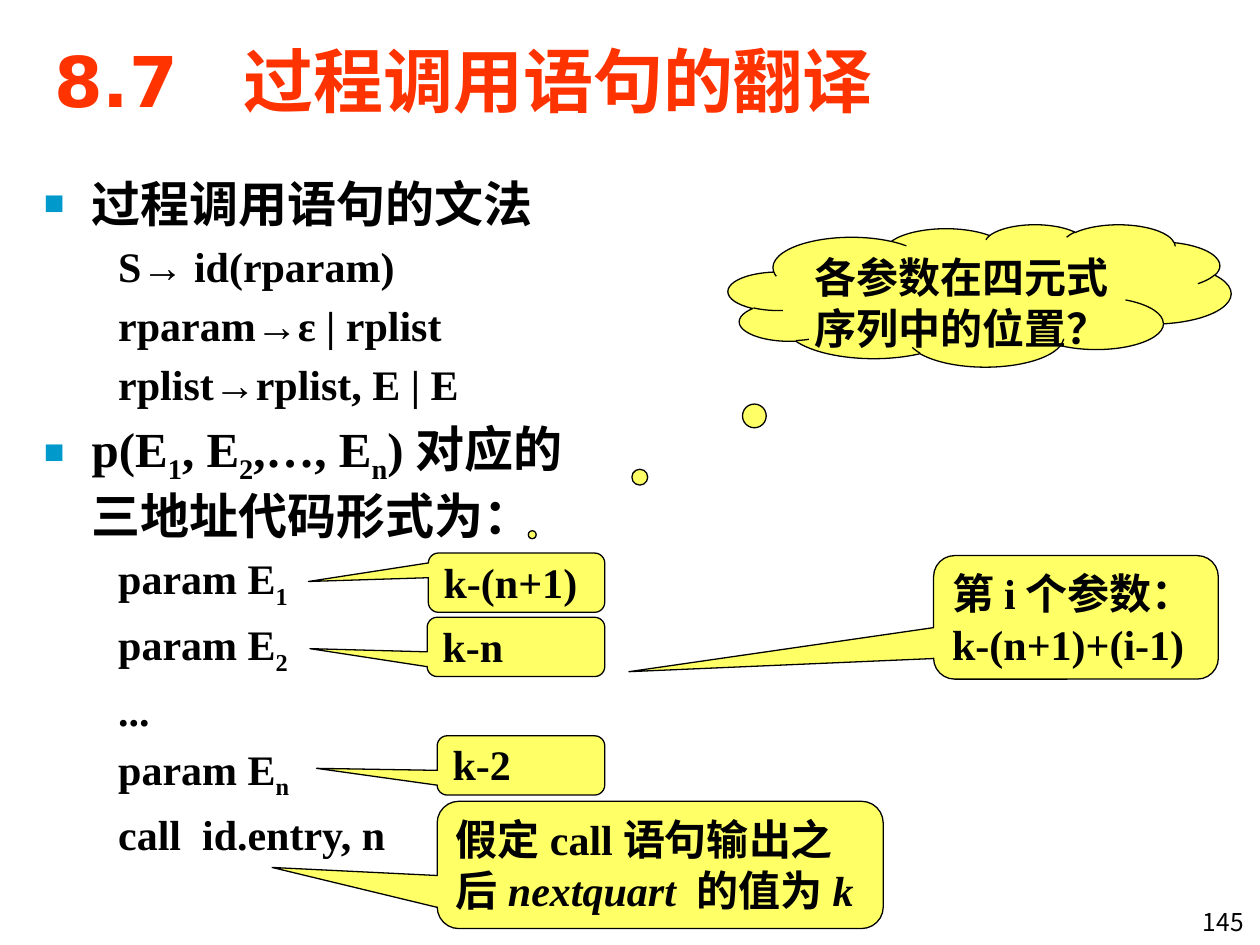
from dataclasses import dataclass
from typing import NamedTuple

import pptx
import pptx.dml.color
import pptx.enum.shapes
import pptx.enum.text
import pptx.oxml.ns
import pptx.util
from lxml import etree

ALIGN = pptx.enum.text.PP_ALIGN
ANCHOR = pptx.enum.text.MSO_ANCHOR
SHAPE = pptx.enum.shapes.MSO_SHAPE
WIDTH, HEIGHT = pptx.util.Inches(10), pptx.util.Inches(7.5)


@dataclass(frozen=True)
class Theme:
    title: str = "FF3300"
    text: str = "000000"
    bullet: str = "0099CC"
    note: str = "FFFF66"
    title_font: str = "DejaVu Sans"
    body_font: str = "Times New Roman"
    cjk_font: str = "Noto Sans CJK SC"
    title_size: int = 40
    head_size: int = 28
    body_size: int = 24
    number_size: int = 14


THEME = Theme()


class Area(NamedTuple):
    """Left, top, width and height in percent of the slide."""
    left: float
    top: float
    width: float
    height: float

    def emu(self) -> list[int]:
        return [round(share * side / 100)
                for share, side in zip(self, (WIDTH, HEIGHT) * 2)]


class Line(NamedTuple):
    """A body paragraph; every second piece is a subscript."""
    pieces: tuple[str, ...]
    head: bool = False
    align: ALIGN = ALIGN.LEFT


class Callout(NamedTuple):
    """A note; every second piece of a paragraph is italic."""
    area: Area
    tip: tuple[float, ...]
    paragraphs: tuple[tuple[str, ...], ...]
    shape: SHAPE = SHAPE.ROUNDED_RECTANGULAR_CALLOUT
    align: ALIGN = ALIGN.LEFT
    top_inset: float = 0.05


LINES = [
    Line(("过程调用语句的文法",), head=True),
    Line(("S→ id(rparam)",), align=ALIGN.JUSTIFY),
    Line(("rparam→ε | rplist",), align=ALIGN.JUSTIFY),
    Line(("rplist→rplist, E | E",)),
    Line(("p(E", "1", ", E", "2", ",…, E", "n", ")对应的三地址代码形式为："), head=True),
    Line(("param E", "1")),
    Line(("param E", "2")),
    Line(("...",)),
    Line(("param E", "n")),
    Line(("call  id.entry, n",)),
]

CALLOUTS = [
    Callout(Area(34.7, 84.8, 35.4, 13.47), (-0.87, 0.02, 0.17),
            (("假定call语句输出之后", "nextquart ", "的值为", "k"),)),
    Callout(Area(74.1, 58.8, 22.6, 13.07), (-1.57, 0.44, 0.17),
            (("第i个参数：",), ("k-(n+1)+(i-1)",))),
    Callout(Area(57.8, 23.73, 39.9, 15.07), (-0.89, 1.68),
            (("各参数在四元式序列中的位置？",),), SHAPE.CLOUD_CALLOUT, ALIGN.CENTER),
    Callout(Area(34.7, 77.87, 13.3, 6.27), (-1.22, 0.05, 0.17),
            (("k-2",),), top_inset=0),
    Callout(Area(33.9, 65.33, 14.1, 6.27), (-1.16, 0.03, 0.17),
            (("k-n",),), top_inset=0),
    Callout(Area(34, 58.53, 14, 6.27), (-1.18, -0.02, 0.17),
            (("k-(n+1)",),), top_inset=0),
]


def rgb(value: str) -> pptx.dml.color.RGBColor:
    return pptx.dml.color.RGBColor.from_string(value)


def add_run(p, text: str, size: float, font: str = THEME.body_font,
            color: str = THEME.text, bold: bool = True,
            italic: bool = False, subscript: bool = False) -> None:
    r = p.add_run()
    r.text = text
    r.font.size = pptx.util.Pt(size)
    r.font.name = font
    r.font.bold = bold
    r.font.italic = italic
    r.font.color.rgb = rgb(color)
    props = r.font._element
    if subscript:
        props.set("baseline", "-25000")
    latin = props.find(pptx.oxml.ns.qn("a:latin"))
    east_asian = etree.Element(pptx.oxml.ns.qn("a:ea"), typeface=THEME.cjk_font)
    latin.addnext(east_asian)


def indent(p, margin: float, first: float) -> None:
    props = p._p.get_or_add_pPr()
    props.set("marL", str(pptx.util.Inches(margin)))
    props.set("indent", str(pptx.util.Inches(first)))


def add_bullet(p) -> None:
    props = p._p.get_or_add_pPr()
    color = etree.SubElement(props, pptx.oxml.ns.qn("a:buClr"))
    etree.SubElement(color, pptx.oxml.ns.qn("a:srgbClr"), val=THEME.bullet)
    etree.SubElement(props, pptx.oxml.ns.qn("a:buSzPct"), val="70000")
    etree.SubElement(props, pptx.oxml.ns.qn("a:buFont"), typeface=THEME.body_font)
    etree.SubElement(props, pptx.oxml.ns.qn("a:buChar"), char="■")


def add_text_box(slide, area: Area):
    tf = slide.shapes.add_textbox(*area.emu()).text_frame
    tf.word_wrap = True
    return tf


def paragraph(tf, index: int):
    return tf.add_paragraph() if index else tf.paragraphs[0]


def set_title(slide, text: str, area: Area) -> None:
    sp = slide.shapes.title
    sp.left, sp.top, sp.width, sp.height = area.emu()
    tf = sp.text_frame
    tf.auto_size = pptx.enum.text.MSO_AUTO_SIZE.NONE
    tf.vertical_anchor = ANCHOR.MIDDLE
    p = tf.paragraphs[0]
    p.alignment = ALIGN.LEFT
    add_run(p, text, THEME.title_size, THEME.title_font, THEME.title)


def add_body(slide, lines: list[Line], area: Area) -> None:
    tf = add_text_box(slide, area)
    for index, line in enumerate(lines):
        p = paragraph(tf, index)
        p.alignment = line.align
        size = THEME.head_size if line.head else THEME.body_size
        if index:
            p.space_before = pptx.util.Pt(0.2 * size)
        if line.head:
            indent(p, 0.38, -0.38)
            add_bullet(p)
        else:
            p.level = 1
            indent(p, 0.9, -0.31)
        for n, text in enumerate(line.pieces):
            add_run(p, text, size, subscript=n % 2 == 1)


def add_callout(slide, note: Callout) -> None:
    sp = slide.shapes.add_shape(note.shape, *note.area.emu())
    for n, value in enumerate(note.tip):
        sp.adjustments[n] = value
    sp.shadow.inherit = False
    sp.fill.solid()
    sp.fill.fore_color.rgb = rgb(THEME.note)
    sp.line.color.rgb = rgb(THEME.text)
    sp.line.width = pptx.util.Pt(0.75)
    tf = sp.text_frame
    tf.word_wrap = True
    tf.vertical_anchor = ANCHOR.TOP
    tf.margin_top = pptx.util.Inches(note.top_inset)
    for index, pieces in enumerate(note.paragraphs):
        p = paragraph(tf, index)
        p.alignment = note.align
        for n, text in enumerate(pieces):
            add_run(p, text, THEME.body_size, italic=n % 2 == 1)


def main() -> None:
    prs = pptx.Presentation()
    prs.slide_width, prs.slide_height = WIDTH, HEIGHT
    slide = prs.slides.add_slide(prs.slide_layouts.get_by_name("Title Only"))

    # Title and grammar text
    set_title(slide, "8.7  过程调用语句的翻译", Area(3.3, 2.27, 94.2, 12.27))
    add_body(slide, LINES, Area(2.5, 17.73, 46.7, 74.93))

    # Page number
    p = add_text_box(slide, Area(91.4, 95.33, 8.3, 4.27)).paragraphs[0]
    p.alignment = ALIGN.RIGHT
    add_run(p, "145", THEME.number_size, THEME.cjk_font, bold=False)

    # Notes on the positions of the parameters
    for note in CALLOUTS:
        add_callout(slide, note)

    prs.save("out.pptx")


if __name__ == "__main__":
    main()
